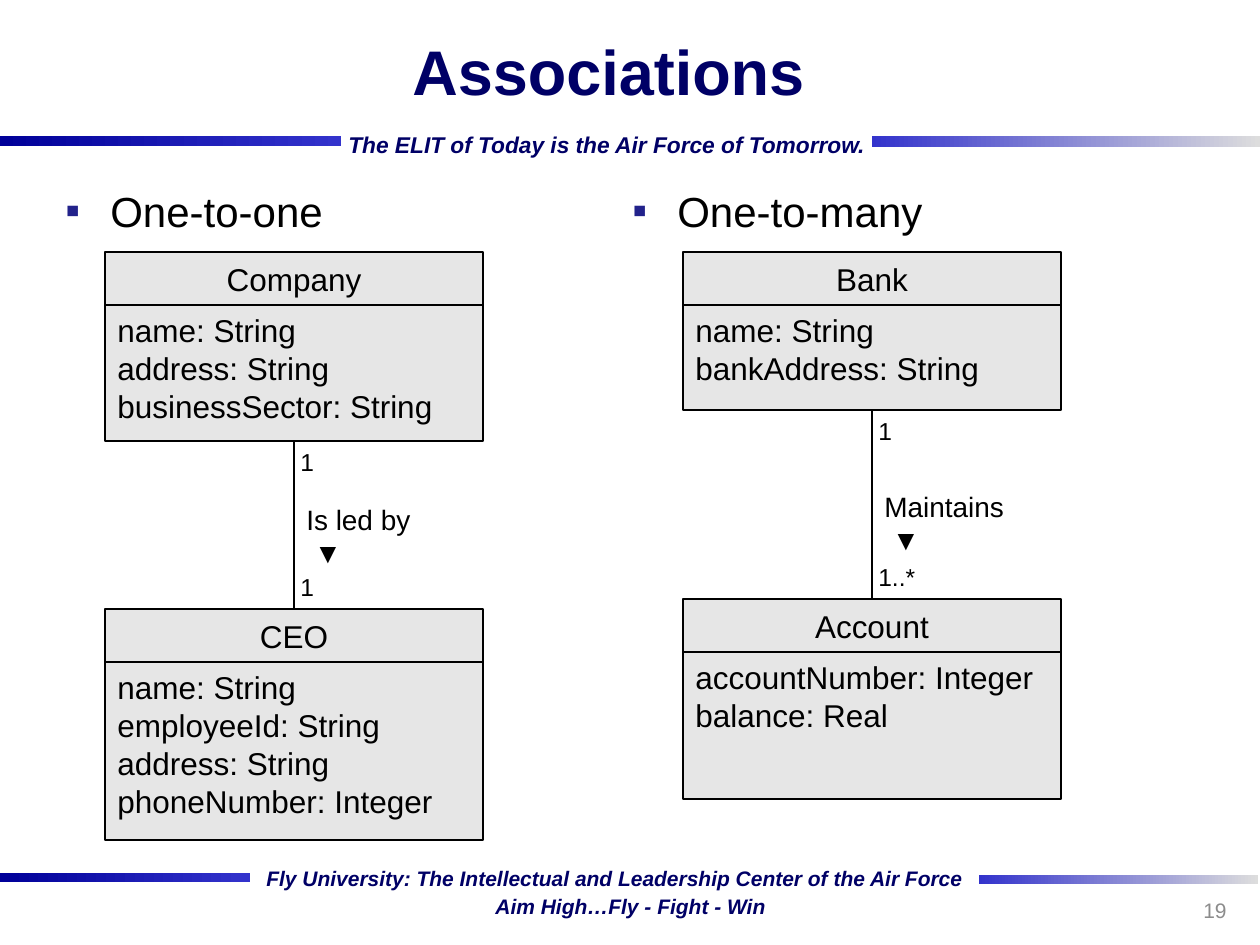
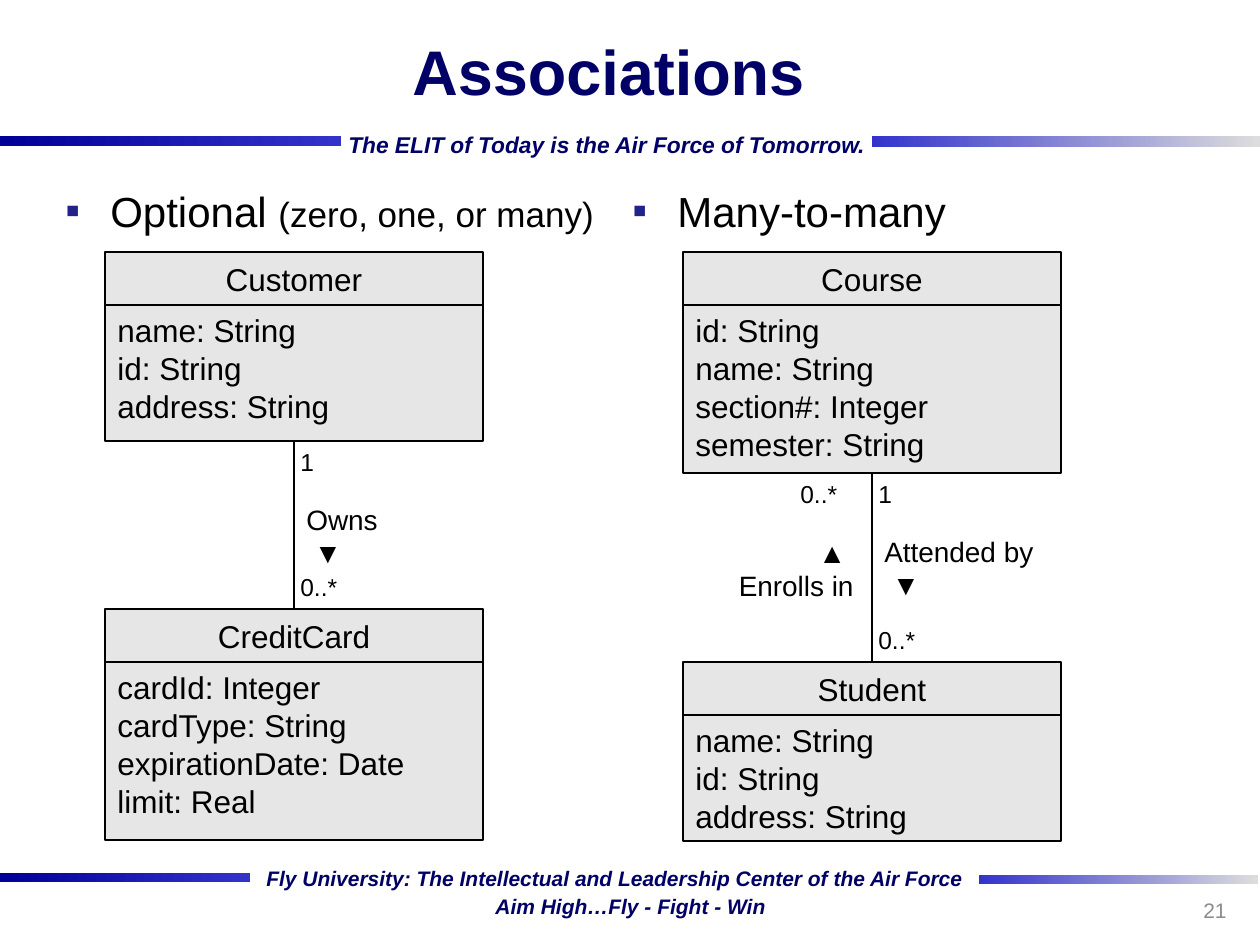
from pptx import Presentation
from pptx.dml.color import RGBColor
from pptx.enum.shapes import MSO_CONNECTOR, MSO_SHAPE
from pptx.enum.text import MSO_ANCHOR, PP_ALIGN
from pptx.oxml.ns import qn
from pptx.util import Emu, Pt
from lxml.etree import SubElement

SCALE = 914400 / 126
NAVY = RGBColor(0x00, 0x00, 0x66)
DEEP_BLUE = RGBColor(0x00, 0x00, 0x99)
BLUE = RGBColor(0x33, 0x33, 0xCC)
SILVER = RGBColor(0xDD, 0xDD, 0xDD)
BULLET = RGBColor(0x22, 0x22, 0x8B)
BOX_GRAY = RGBColor(0xE6, 0xE6, 0xE6)
NUMBER_GRAY = RGBColor(0x8C, 0x8C, 0x8C)
BLACK = RGBColor(0, 0, 0)

TITLE = {"size": Pt(36), "bold": True}
FOOTER = {"size": Pt(12), "bold": True, "italic": True}
TAGLINE = {**FOOTER, "size": Pt(13)}
NUMBER = {"size": Pt(12)}
CLASS_TEXT = {"size": Pt(18)}
VERB = {"size": Pt(16)}
MULTIPLICITY = {"size": Pt(14)}

CLASS_W, NAME_H = 378, 53
LEFT_X, RIGHT_X = 105, 683
LABEL_H = 43


def px(*values):
    return [Emu(round(v * SCALE)) for v in values]


def set_attrs(obj, values):
    for name, value in values.items():
        setattr(obj, name, value)


def add_run(p, text, font, color=BLACK):
    r = p.add_run()
    r.text = text
    set_attrs(r.font, {"name": "Arial", **font})
    r.font.color.rgb = color


def fill_text(tf, lines, font, color=BLACK, align=PP_ALIGN.LEFT,
              anchor=MSO_ANCHOR.TOP, wrap=True):
    set_attrs(tf, {"word_wrap": wrap, "vertical_anchor": anchor})
    for i, line in enumerate(lines):
        p = tf.paragraphs[0] if i == 0 else tf.add_paragraph()
        p.alignment = align
        add_run(p, line, font, color)


def add_text(s, box, lines, font, **options):
    sp = s.shapes.add_textbox(*px(*box))
    fill_text(sp.text_frame, lines, font, **options)


def add_rect(s, box):
    sp = s.shapes.add_shape(MSO_SHAPE.RECTANGLE, *px(*box))
    sp.shadow.inherit = False
    return sp


def add_band(s, box, start, end):
    sp = add_rect(s, box)
    sp.line.fill.background()
    sp.fill.gradient()
    sp.fill.gradient_angle = 0
    for stop, color in zip(sp.fill.gradient_stops, (start, end)):
        stop.color.rgb = color


def add_frame(s, title, number):
    add_band(s, (0, 873, 250, 9), DEEP_BLUE, BLUE)
    add_band(s, (979, 875, 279, 9), BLUE, SILVER)
    add_band(s, (872, 136, 388, 11), BLUE, SILVER)
    add_band(s, (0, 136, 341, 10), DEEP_BLUE, BLUE)
    for box, line, font in (
        ((254, 859, 726, 37),
         "Fly University: The Intellectual and Leadership Center of the Air Force", FOOTER),
        ((483, 887, 297, 37), "Aim High…Fly - Fight - Win", FOOTER),
        ((336, 125, 548, 39), "The ELIT of Today is the Air Force of Tomorrow.", TAGLINE),
    ):
        add_text(s, box, [line], font, color=NAVY, wrap=False)
    add_text(s, (73, 0, 1071, 141), [title], TITLE, color=NAVY,
             align=PP_ALIGN.CENTER, anchor=MSO_ANCHOR.MIDDLE)
    add_text(s, (945, 885, 294, 50), [number], NUMBER, color=NUMBER_GRAY,
             align=PP_ALIGN.RIGHT, anchor=MSO_ANCHOR.MIDDLE)


def add_heading(s, x, text, detail=""):
    tf = s.shapes.add_textbox(*px(x, 179, 567, 672)).text_frame
    tf.word_wrap = True
    p = tf.paragraphs[0]
    p.space_before = Pt(5)
    add_run(p, text, {"size": Pt(24)})
    if detail:
        add_run(p, detail, {"size": Pt(20)})
    pPr = p._p.get_or_add_pPr()
    indent = px(45)[0]
    pPr.set("marL", str(indent))
    pPr.set("indent", str(-indent))
    color = SubElement(pPr, qn("a:buClr"))
    SubElement(color, qn("a:srgbClr")).set("val", str(BULLET))
    SubElement(pPr, qn("a:buFont")).set("typeface", "Arial")
    SubElement(pPr, qn("a:buChar")).set("char", "▪")


def add_class(s, x, y, name, attributes, height):
    parts = []
    for top, h, lines, options in (
        (y, NAME_H, [name], {"align": PP_ALIGN.CENTER, "anchor": MSO_ANCHOR.MIDDLE}),
        (y + NAME_H, height, attributes, {}),
    ):
        sp = add_rect(s, (x, top, CLASS_W, h))
        sp.fill.solid()
        sp.fill.fore_color.rgb = BOX_GRAY
        sp.line.color.rgb = BLACK
        sp.line.width = Pt(1)
        fill_text(sp.text_frame, lines, CLASS_TEXT, **options)
        parts.append(sp)
    return parts


def add_association(s, x, upper, lower, verb, verb_y, ends):
    upper_y, lower_y = upper[0], lower[0]
    body = add_class(s, x, *upper)[1]
    head = add_class(s, x, *lower)[0]
    bottom = upper_y + NAME_H + upper[3]
    center = x + CLASS_W // 2
    line = s.shapes.add_connector(MSO_CONNECTOR.STRAIGHT,
                                  *px(center, bottom, center, lower_y))
    line.begin_connect(body, 2)
    line.end_connect(head, 0)
    line.line.color.rgb = BLACK
    line.line.width = Pt(1.5)
    SubElement(line._element.spPr, qn("a:effectLst"))
    add_text(s, (center, verb_y, 190, 81), [verb, " ▼"], VERB)
    for y, text in zip((bottom, lower_y - LABEL_H), ends):
        add_text(s, (center - 6, y, 73, LABEL_H), [text], MULTIPLICITY)


def add_slide(prs, number):
    s = prs.slides.add_slide(prs.slide_layouts[6])
    add_frame(s, "Associations", number)
    return s


def one_to_one_and_many(prs):
    s = add_slide(prs, "19")
    add_heading(s, 53, "One-to-one")
    add_heading(s, 620, "One-to-many")
    add_association(
        s, LEFT_X,
        (252, "Company", ["name: String", "address: String", "businessSector: String"], 136),
        (609, "CEO", ["name: String", "employeeId: String", "address: String",
                      "phoneNumber: Integer"], 178),
        "Is led by", 496, ("1", "1"))
    add_association(
        s, RIGHT_X,
        (252, "Bank", ["name: String", "bankAddress: String"], 105),
        (599, "Account", ["accountNumber: Integer", "balance: Real"], 147),
        "Maintains", 483, ("1", "1..*"))


def optional_and_many_to_many(prs):
    s = add_slide(prs, "21")
    add_heading(s, 53, "Optional ", "(zero, one, or many)")
    add_heading(s, 620, "Many-to-many")
    add_association(
        s, LEFT_X,
        (252, "Customer", ["name: String", "id: String", "address: String"], 136),
        (609, "CreditCard", ["cardId: Integer", "cardType: String",
                             "expirationDate: Date", "limit: Real"], 178),
        "Owns", 496, ("1", "0..*"))
    add_association(
        s, RIGHT_X,
        (252, "Course", ["id: String", "name: String", "section#: Integer",
                         "semester: String"], 168),
        (662, "Student", ["name: String", "id: String", "address: String"], 126),
        "Attended by", 528, ("1", "0..*"))
    add_text(s, (685, 529, 181, 81), ["▲ ", "Enrolls in"], VERB, align=PP_ALIGN.RIGHT)
    add_text(s, (788, 473, 76, LABEL_H), ["0..*"], MULTIPLICITY)


def main():
    prs = Presentation()
    prs.slide_width, prs.slide_height = px(1260, 945)
    one_to_one_and_many(prs)
    optional_and_many_to_many(prs)
    prs.save("out.pptx")


if __name__ == "__main__":
    main()
